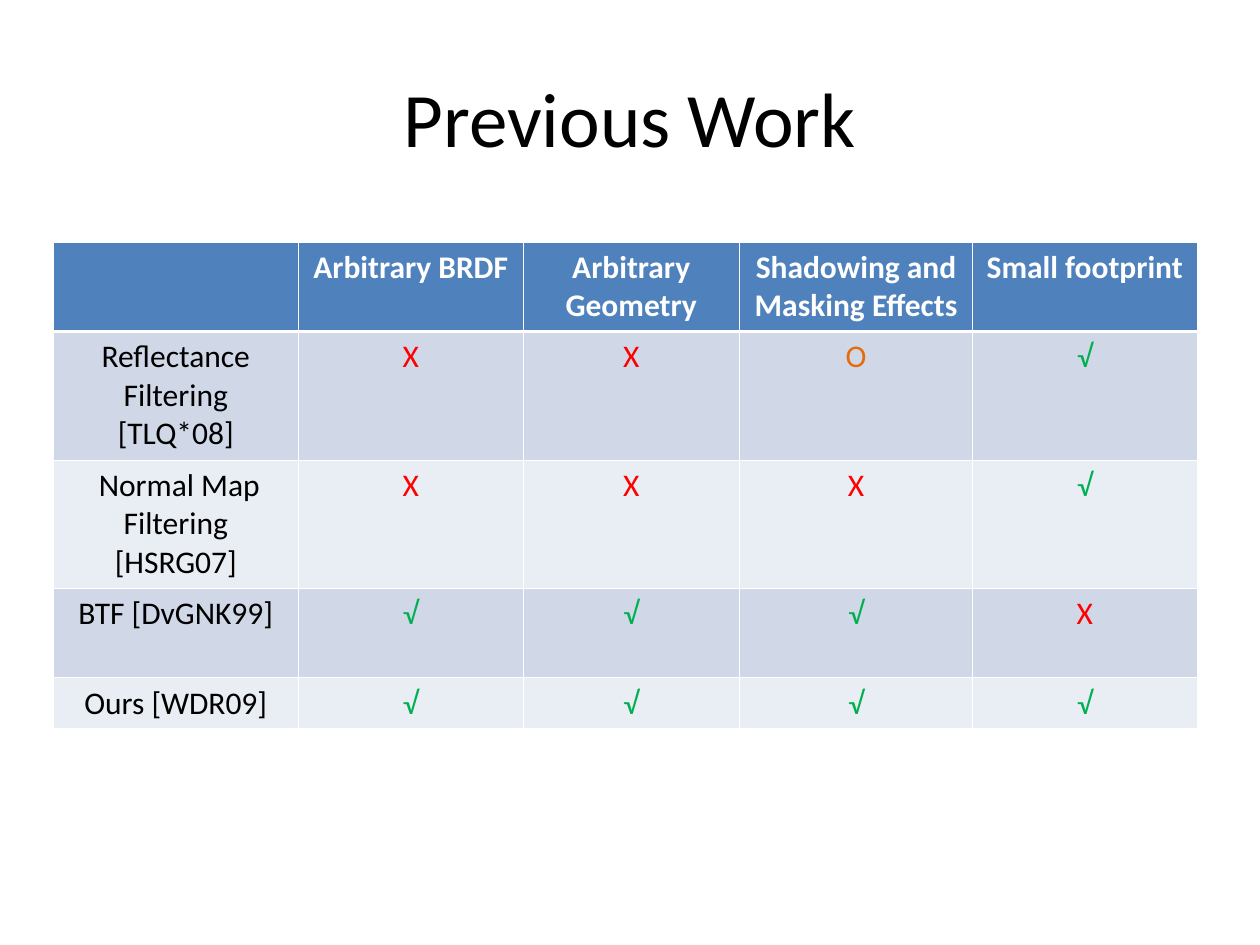
import pptx
import pptx.dml.color
import pptx.enum.text
import pptx.util
from lxml import etree
from pptx.oxml.ns import qn
from pptx.util import Inches, Pt

TITLE = "Previous Work"
ROWS = [
    ["", "Arbitrary BRDF", "Arbitrary Geometry", "Shadowing and Masking Effects", "Small footprint"],
    ["Reflectance Filtering [TLQ*08]", "X", "X", "O", "√"],
    [" Normal Map Filtering [HSRG07]", "X", "X", "X", "√"],
    ["BTF [DvGNK99]", "√", "√", "√", "X"],
    ["Ours [WDR09]", "√", "√", "√", "√"],
]
COLUMN_WIDTHS = [1.95, 1.78, 1.72, 1.85, 1.78]
ROW_HEIGHTS = [0.71, 1.02, 1.02, 0.71, 0.4]
MARK_COLORS = {"X": "FF0000", "O": "E46C0A", "√": "00B050"}
HEADER_FILL = "4F81BD"
BAND_FILLS = ["E9EDF4", "D0D8E8"]
BLACK, WHITE = "000000", "FFFFFF"
THIN, THICK = 0.45, 1.47


def rgb(value):
    return pptx.dml.color.RGBColor.from_string(value)


def style(paragraph, size, color, bold=False):
    paragraph.alignment = pptx.enum.text.PP_ALIGN.CENTER
    font = paragraph.font
    font.name, font.size, font.bold = "Calibri", Pt(size), bold
    font.color.rgb = rgb(color)


def set_borders(cell, top, bottom):
    """Draw white cell borders; top and bottom are widths in points."""
    properties = cell._tc.get_or_add_tcPr()
    for side, width in (("L", THIN), ("R", THIN), ("T", top), ("B", bottom)):
        line = etree.SubElement(properties, qn(f"a:ln{side}"), w=str(int(Pt(width))))
        fill = etree.SubElement(line, qn("a:solidFill"))
        etree.SubElement(fill, qn("a:srgbClr"), val=WHITE)


def add_title(slide):
    box = slide.shapes.add_textbox(Inches(0.5), Inches(0.3), Inches(9), Inches(1.25))
    frame = box.text_frame
    frame.word_wrap = True
    frame.vertical_anchor = pptx.enum.text.MSO_ANCHOR.MIDDLE
    frame.text = TITLE
    style(frame.paragraphs[0], 44, BLACK)


def add_comparison_table(slide):
    table = slide.shapes.add_table(
        len(ROWS), len(COLUMN_WIDTHS), Inches(0.42), Inches(1.92),
        Inches(sum(COLUMN_WIDTHS)), Inches(sum(ROW_HEIGHTS))).table
    for column, width in zip(table.columns, COLUMN_WIDTHS):
        column.width = Inches(width)
    for row, height in zip(table.rows, ROW_HEIGHTS):
        row.height = Inches(height)
    for r, texts in enumerate(ROWS):
        header = r == 0
        for c, text in enumerate(texts):
            cell = table.cell(r, c)
            cell.text = text
            color = WHITE if header else MARK_COLORS.get(text, BLACK)
            style(cell.text_frame.paragraphs[0], 18, color, bold=header)
            set_borders(cell, THICK if r == 1 else THIN, THICK if header else THIN)
            cell.fill.solid()
            cell.fill.fore_color.rgb = rgb(HEADER_FILL if header else BAND_FILLS[r % 2])


def main():
    presentation = pptx.Presentation()
    presentation.slide_width, presentation.slide_height = Inches(10), Inches(7.5)
    slide = presentation.slides.add_slide(presentation.slide_layouts[6])
    add_title(slide)
    add_comparison_table(slide)
    presentation.save("out.pptx")


if __name__ == "__main__":
    main()
